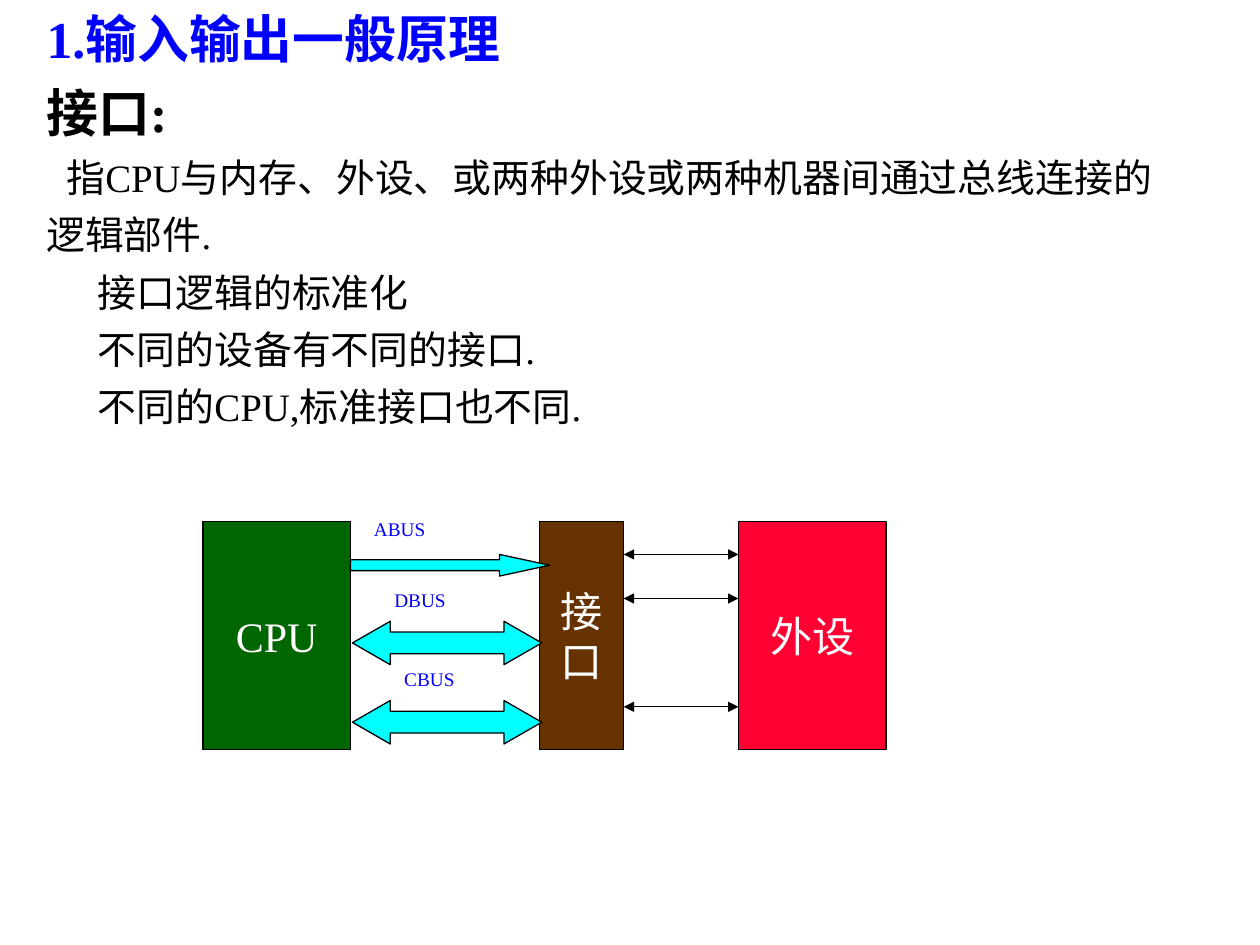
"""Build the slide on the general principle of input/output and its interface."""
from typing import NamedTuple

from lxml.etree import SubElement
from pptx import Presentation
from pptx.dml.color import RGBColor
from pptx.enum.shapes import MSO_CONNECTOR as Connector, MSO_SHAPE as Shape
from pptx.enum.text import MSO_ANCHOR as Anchor, MSO_AUTO_SIZE as AutoSize, PP_ALIGN as Align
from pptx.oxml.ns import qn
from pptx.util import Pt

FONT = "Times New Roman"
BLACK, WHITE, BLUE, CYAN = "000000", "FFFFFF", "0000FF", "00FFFF"
TEXT_LEFT, TEXT_WIDTH, HEADING_HEIGHT = 19.4, 700.6, 42.9
UNIT_TOP, UNIT_HEIGHT = 298, 130.5


class Statement(NamedTuple):
    text: str
    size: float = 22.2
    bold: bool = False
    indent: float = 0
    space_before: float = 6


class Unit(NamedTuple):
    text: str
    left: float
    width: float
    fill: str

    @property
    def right(self) -> float:
        return self.left + self.width


class Bus(NamedTuple):
    name: str
    name_left: float
    name_top: float
    arrow: Shape
    left: float
    top: float
    width: float
    height: float
    head_ratio: float


STATEMENTS = [
    Statement("接口:", 29.6, bold=True, space_before=0),
    Statement("指CPU与内存、外设、或两种外设或两种机器间通过总线连接的", indent=11.5),
    Statement("逻辑部件."),
    Statement("接口逻辑的标准化", indent=29.5),
    Statement("不同的设备有不同的接口.", indent=29.5),
    Statement("不同的CPU,标准接口也不同.", indent=29.5),
]
CPU = Unit("CPU", 116, 84.3, "006600")
INTERFACE = Unit("接\n口", 308.2, 48.2, "663300")
PERIPHERAL = Unit("外设", 422, 84.3, "FF0033")
BUSES = [
    Bus("ABUS", 206.6, 292.3, Shape.RIGHT_ARROW, 200.2, 316.8, 113.8, 12.4, 2.31),
    Bus("DBUS", 218.2, 332.6, Shape.LEFT_RIGHT_ARROW, 201.4, 355, 108.2, 24.8, 0.87),
    Bus("CBUS", 223.9, 378, Shape.LEFT_RIGHT_ARROW, 201.4, 400.3, 108.2, 24.8, 0.87),
]
SIGNAL_TOPS = [316.8, 342, 403.9]


def color(hex_value: str) -> RGBColor:
    return RGBColor.from_string(hex_value)


def format_runs(paragraph, size: float, hex_value: str, bold: bool = False) -> None:
    for run in paragraph.runs:
        run.font.name = FONT
        run.font.size = Pt(size)
        run.font.bold = bold
        run.font.color.rgb = color(hex_value)


def add_outlined(slide, kind: Shape, left: float, top: float, width: float, height: float, fill: str):
    shape = slide.shapes.add_shape(kind, Pt(left), Pt(top), Pt(width), Pt(height))
    shape.shadow.inherit = False
    shape.fill.solid()
    shape.fill.fore_color.rgb = color(fill)
    shape.line.color.rgb = color(BLACK)
    shape.line.width = Pt(0.75)
    return shape


def add_heading(slide, text: str) -> None:
    heading = slide.shapes.title
    heading.left, heading.top = Pt(TEXT_LEFT), Pt(0)
    heading.width, heading.height = Pt(TEXT_WIDTH), Pt(HEADING_HEIGHT)
    frame = heading.text_frame
    frame.text = text
    frame.auto_size = AutoSize.NONE
    frame.vertical_anchor = Anchor.TOP
    frame.paragraphs[0].alignment = Align.LEFT
    format_runs(frame.paragraphs[0], 29.6, BLUE, bold=True)


def add_statements(slide, statements: list[Statement]) -> None:
    frame = slide.shapes.add_textbox(
        Pt(TEXT_LEFT), Pt(HEADING_HEIGHT), Pt(TEXT_WIDTH), Pt(244.4)).text_frame
    frame.word_wrap = True
    frame.text = "\n".join(statement.text for statement in statements)
    for paragraph, statement in zip(frame.paragraphs, statements):
        paragraph._p.get_or_add_pPr().set("marL", str(Pt(statement.indent)))
        paragraph.space_before = Pt(statement.space_before)
        format_runs(paragraph, statement.size, BLACK, statement.bold)


def add_unit(slide, unit: Unit) -> None:
    block = add_outlined(slide, Shape.RECTANGLE, unit.left, UNIT_TOP, unit.width, UNIT_HEIGHT, unit.fill)
    frame = block.text_frame
    frame.word_wrap = False
    frame.vertical_anchor = Anchor.MIDDLE
    frame.text = unit.text
    for paragraph in frame.paragraphs:
        paragraph.alignment = Align.CENTER
        format_runs(paragraph, 24, WHITE)


def add_bus(slide, bus: Bus) -> None:
    arrow = add_outlined(slide, bus.arrow, bus.left, bus.top, bus.width, bus.height, CYAN)
    arrow.adjustments[0], arrow.adjustments[1] = 0.5, bus.head_ratio
    frame = slide.shapes.add_textbox(Pt(bus.name_left), Pt(bus.name_top), Pt(74), Pt(23)).text_frame
    frame.word_wrap = True
    frame.text = bus.name
    format_runs(frame.paragraphs[0], 11, BLUE)


def add_signal(slide, source: Unit, target: Unit, top: float) -> None:
    signal = slide.shapes.add_connector(
        Connector.STRAIGHT, Pt(source.right), Pt(top), Pt(target.left), Pt(top))
    signal.line.color.rgb = color(BLACK)
    signal.line.width = Pt(0.75)
    properties = signal._element.spPr
    outline = properties.find(qn("a:ln"))
    for end in ("a:headEnd", "a:tailEnd"):
        SubElement(outline, qn(end), type="triangle")
    SubElement(properties, qn("a:effectLst"))


def main() -> None:
    deck = Presentation()
    deck.slide_width, deck.slide_height = Pt(720), Pt(540)
    slide = deck.slides.add_slide(deck.slide_layouts[5])
    add_heading(slide, "1.输入输出一般原理")
    add_statements(slide, STATEMENTS)
    for unit in (CPU, INTERFACE, PERIPHERAL):
        add_unit(slide, unit)
    for bus in BUSES:
        add_bus(slide, bus)
    for top in SIGNAL_TOPS:
        add_signal(slide, INTERFACE, PERIPHERAL, top)
    deck.save("out.pptx")


if __name__ == "__main__":
    main()
